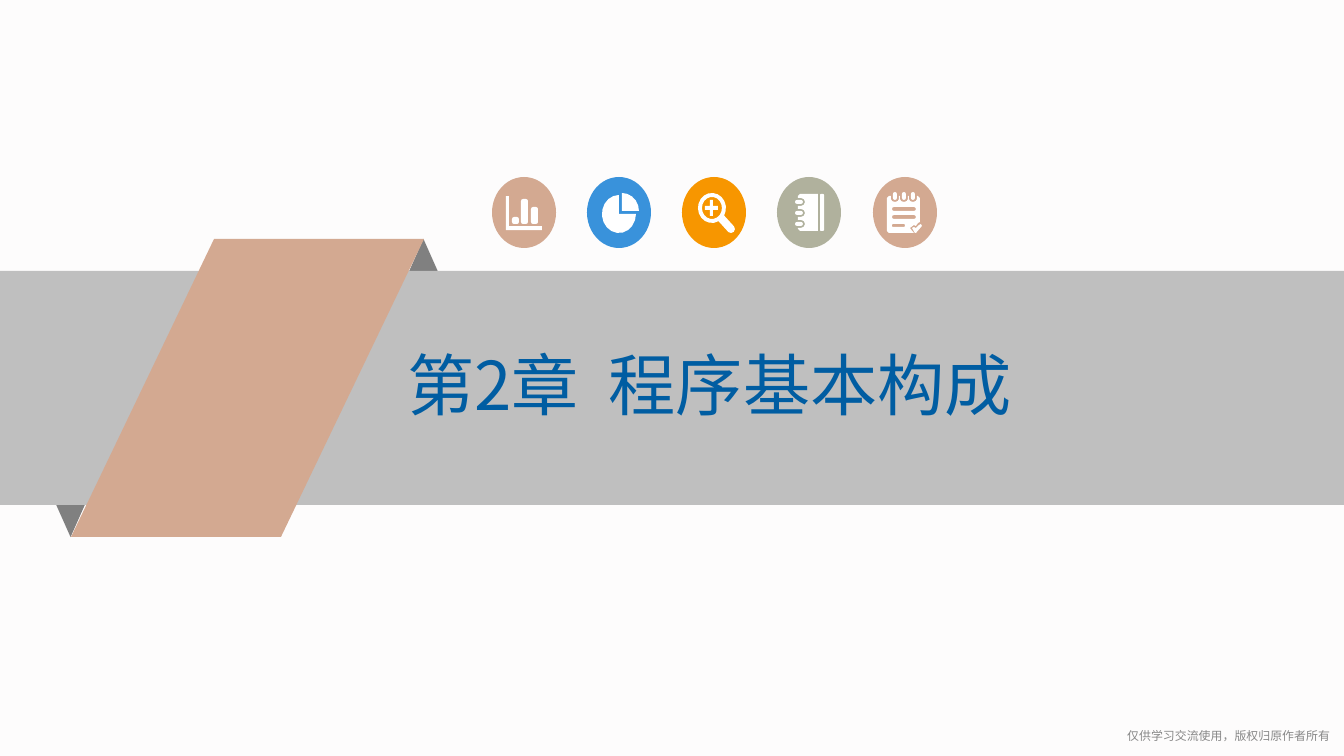
"""Build the chapter 2 opening slide with a ribbon and five icon badges."""
import math

import lxml.etree
import pptx
import pptx.dml.color
import pptx.enum.shapes
import pptx.enum.text
import pptx.oxml.ns
import pptx.util

PX = 914400 / 100.8
RGB = pptx.dml.color.RGBColor
PAPER = RGB(0xFD, 0xFC, 0xFC)
FOLD = RGB(0x80, 0x80, 0x80)
BAND = RGB(0xBF, 0xBF, 0xBF)
CLAY = RGB(0xD3, 0xA9, 0x91)
BLUE = RGB(0x39, 0x92, 0xDB)
ORANGE = RGB(0xF7, 0x96, 0x00)
SAGE = RGB(0xB0, 0xB1, 0x9D)
WHITE = RGB(0xFF, 0xFF, 0xFF)
NAVY = RGB(0x00, 0x5D, 0xA2)
GREY = RGB(0x88, 0x88, 0x88)
KIND = pptx.enum.shapes.MSO_SHAPE


def arc(x, y, rx, ry, start=0, stop=360):
    """Return points along an elliptical arc, with angles running clockwise."""
    steps = math.ceil(abs(stop - start) / (20 if rx > 8 else 45))
    angles = [math.radians(start + (stop - start) * i / steps) for i in range(steps + 1)]
    return [(x + rx * math.cos(a), y + ry * math.sin(a)) for a in angles]


def bar(left, top, right, bottom, r=2):
    """Return the points of a box with rounded corners."""
    corners = [(right - r, bottom - r), (left + r, bottom - r),
               (left + r, top + r), (right - r, top + r)]
    return [point for i, (x, y) in enumerate(corners)
            for point in arc(x, y, r, r, 90 * i, 90 * i + 90)]


prs = pptx.Presentation()
prs.slide_width = round(1344 * PX)
prs.slide_height = round(756 * PX)
slide = prs.slides.add_slide(prs.slide_layouts[5])
slide.background.fill.solid()
slide.background.fill.fore_color.rgb = PAPER

ribbon = slide.shapes.add_group_shape()
for kind, box, color, turn in [
    (KIND.ISOSCELES_TRIANGLE, (363, 239, 121, 136), FOLD, 0),
    (KIND.ISOSCELES_TRIANGLE, (10, 401, 121, 136), FOLD, 180),
    (KIND.RECTANGLE, (0, 271, 1344, 234), BAND, 0),
    (KIND.PARALLELOGRAM, (71, 239, 353, 298), CLAY, 0),
]:
    part = ribbon.shapes.add_shape(kind, *[round(v * PX) for v in box])
    part.rotation = turn
    part.shadow.inherit = False
    part.fill.solid()
    part.fill.fore_color.rgb = color
    part.line.fill.background()
    if kind == KIND.PARALLELOGRAM:
        part.adjustments[0] = 0.48

bar_chart = [
    [(-18, -17), (-15, -17), (-15, 13), (18, 13), (18, 17), (-18, 17)],
    bar(-12, 4, -5, 11), bar(-3, -14, 4, 11), bar(7, -6, 14, 11),
]
pie = [
    [(3, -2)] + arc(3, -2, 17, 18, -90, 0),
    [(0, 1)] + arc(0, 1, 17, 19, 0, 270),
]
magnifier = [
    arc(-2, -5, 14, 15, 62, 390) + arc(17, 16, 4, 4, -40, 130),
    arc(-2, -5, 10, 11),
    [(-4, -13), (-1, -13), (-1, -7), (4, -7), (4, -3), (-1, -3),
     (-1, 3), (-4, 3), (-4, -3), (-9, -3), (-9, -7), (-4, -7)],
]
notebook_cover = [(9, -19), (9, 18), (-9, 18), (-11, 16)]
for y in (11, 0, -11):
    notebook_cover += [(-11, y + 4)] + arc(-8, y, 4, 4, 90, -90) + [(-11, y - 4)]
notebook_cover += [(-11, -17), (-9, -19)]
notebook = [notebook_cover, bar(11, -19, 15, 18, 1)]
notebook += [bar(-14, y - 2, -6, y + 2) for y in (-11, 0, 11)]

clips = (-10, -1, 8)
sheet = [(-18, -15), (-16, -17)]
for x in clips:
    sheet += [(x - 4, -17)] + arc(x, -14, 4, 3, 180, 0) + [(x + 4, -17)]
sheet += [(13, -17), (15, -15), (15, 9), (13, 10), (11, 13), (9, 12), (5, 15),
          (9, 20), (-16, 20), (-18, 18)]
tick = [(7, 15), (9, 14), (11, 15), (14, 12), (16, 11), (17, 13), (11, 20), (10, 20)]
notepad = [sheet, tick, bar(-13, -6, 11, -2), bar(-13, 2, 11, 6), bar(-13, 11, 0, 14, 1)]
notepad += [bar(x - 2, -21, x + 2, -13) for x in clips]

badges = [(CLAY, bar_chart), (BLUE, pie), (ORANGE, magnifier),
          (SAGE, notebook), (CLAY, notepad)]
for i, (color, outlines) in enumerate(badges):
    left = 492 + 381 * i // 4
    badge = slide.shapes.add_group_shape()
    disc = badge.shapes.add_shape(
        KIND.OVAL, *[round(v * PX) for v in (left, 177, 64, 71)])
    builder = None
    for outline in outlines:
        points = [(round((left + 32 + x) * PX), round((213 + y) * PX)) for x, y in outline]
        if builder is None:
            builder = badge.shapes.build_freeform(*points[0], scale=1.0)
        else:
            builder.move_to(*points[0])
        builder.add_line_segments(points[1:], close=True)
    icon = builder.convert_to_shape()
    for part, fill in ((disc, color), (icon, WHITE)):
        part.shadow.inherit = False
        part.fill.solid()
        part.fill.fore_color.rgb = fill
        part.line.fill.background()

chapter = slide.shapes.title
chapter.element.getparent().append(chapter.element)
notice = slide.shapes.add_textbox(0, 0, 0, 0)
ALIGN = pptx.enum.text.PP_ALIGN
for holder, box, inset, text, size, font, color, align in [
    (chapter, (397, 338, 742, 92), (10, 5), "第2章  程序基本构成", 48,
     "Noto Sans CJK SC", NAVY, ALIGN.LEFT),
    (notice, (947, 729, 383, 22), (0, 0), "仅供学习交流使用，版权归原作者所有", 8.5,
     "Arial", GREY, ALIGN.RIGHT),
]:
    holder.left, holder.top, holder.width, holder.height = [round(v * PX) for v in box]
    frame = holder.text_frame
    frame.margin_left = frame.margin_right = round(inset[0] * PX)
    frame.margin_top = frame.margin_bottom = round(inset[1] * PX)
    frame.vertical_anchor = pptx.enum.text.MSO_ANCHOR.TOP
    frame.auto_size = pptx.enum.text.MSO_AUTO_SIZE.NONE
    frame.word_wrap = True
    paragraph = frame.paragraphs[0]
    paragraph.alignment = align
    run = paragraph.add_run()
    run.text = text
    run.font.size = pptx.util.Pt(size)
    run.font.name = font
    run.font.color.rgb = color
    if holder is chapter:
        east_asian = lxml.etree.SubElement(
            run.font._element, pptx.oxml.ns.qn("a:ea"))
        east_asian.set("typeface", font)

prs.save("out.pptx")
